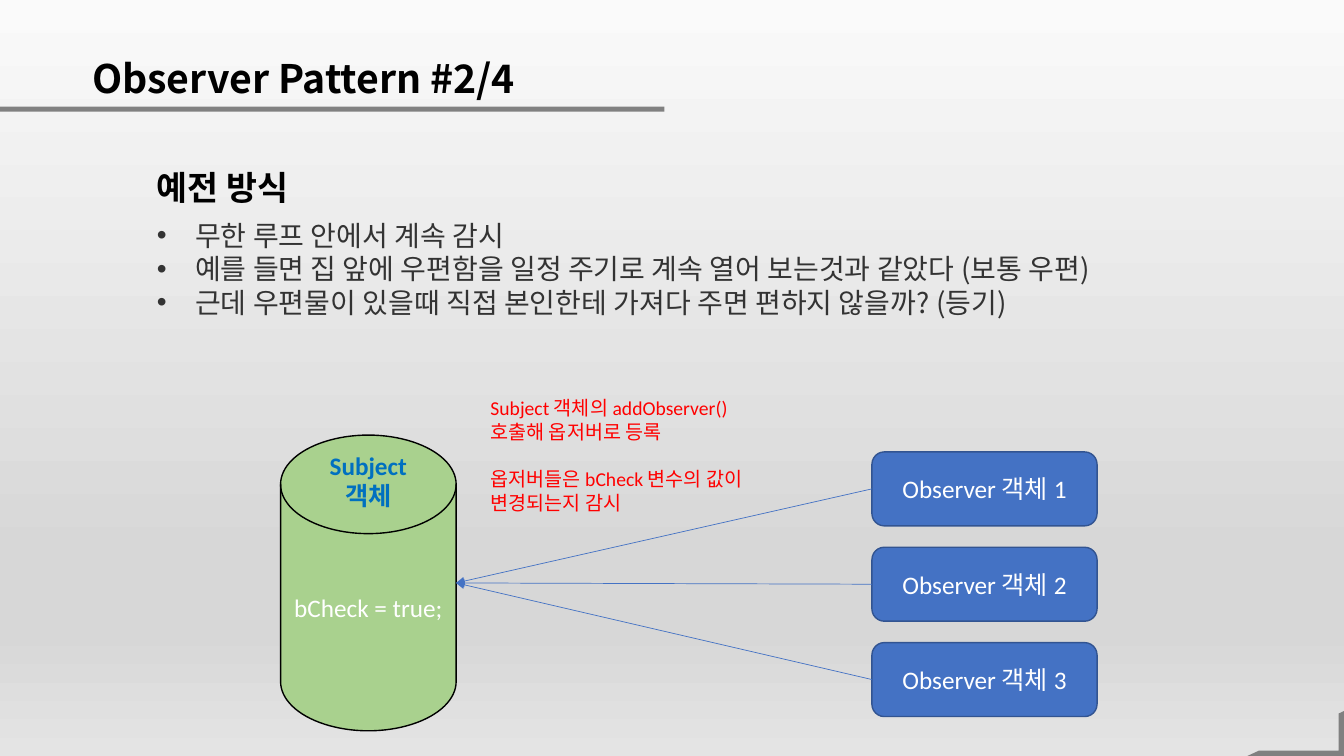
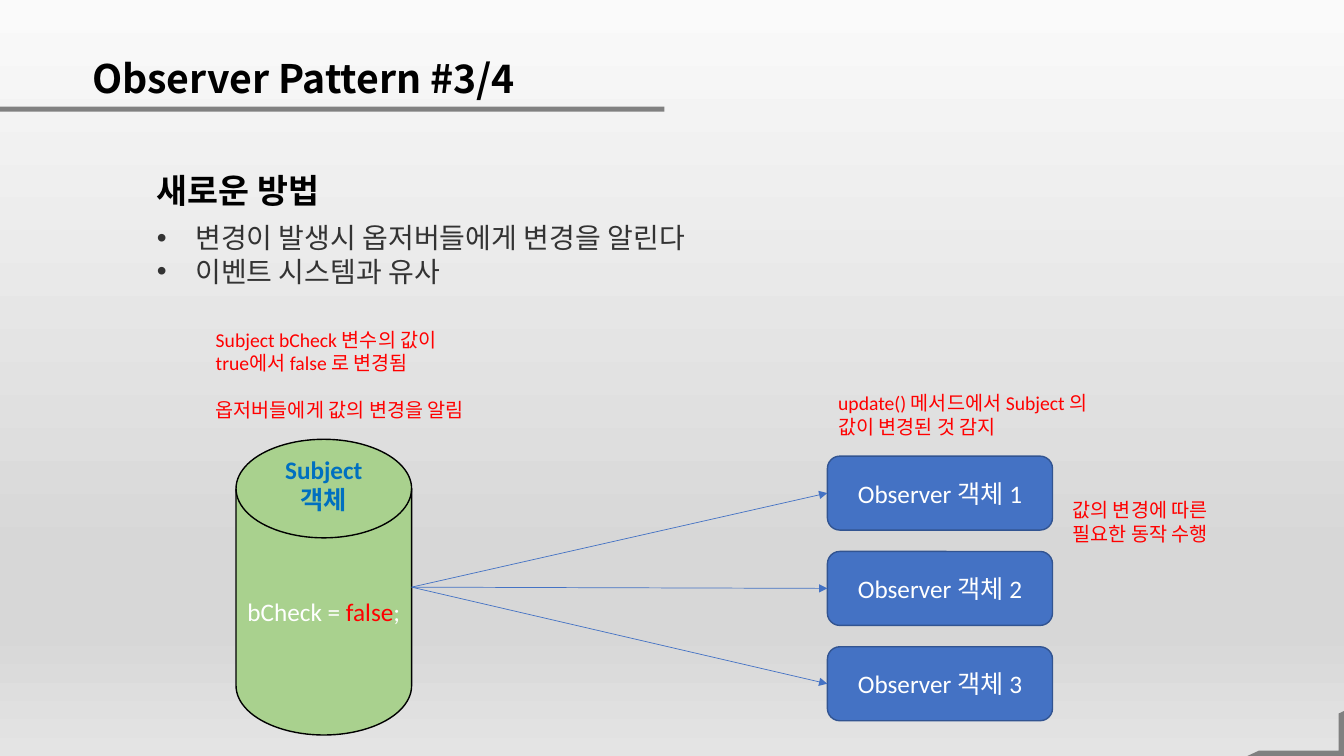
from pptx import Presentation
from pptx.dml.color import RGBColor
from pptx.enum.shapes import MSO_CONNECTOR as Connector, MSO_SHAPE as Shape
from pptx.enum.text import MSO_ANCHOR as Anchor, MSO_AUTO_SIZE as AutoSize, PP_ALIGN as Align
from pptx.oxml.ns import qn
from pptx.util import Inches, Pt
from lxml.etree import SubElement

# Palette and fonts
BLACK = RGBColor(0x00, 0x00, 0x00)
WHITE = RGBColor(0xFF, 0xFF, 0xFF)
GRAY = RGBColor(0x80, 0x80, 0x80)
CHARCOAL = RGBColor(0x33, 0x33, 0x33)
GREEN = RGBColor(0xA9, 0xD1, 0x8E)
BLUE = RGBColor(0x44, 0x72, 0xC4)
NAVY = RGBColor(0x32, 0x54, 0x91)
SKY = RGBColor(0x00, 0x70, 0xC0)
RED = RGBColor(0xFF, 0x00, 0x00)
BACKDROP = [(0, "FAFAFA"), (74, "D7D7D7"), (83, "D7D7D7"), (100, "E4E4E4")]
LATIN, KOREAN = "Calibri", "Noto Sans CJK KR"

# Grid of the slide
COLUMNS, ROWS = 160, 90
WIDTH, HEIGHT = Inches(13.33), Inches(7.5)


def grid(left, top, width, height):
    """Turn columns and rows into slide lengths."""
    return (int(left * WIDTH / COLUMNS), int(top * HEIGHT / ROWS),
            int(width * WIDTH / COLUMNS), int(height * HEIGHT / ROWS))


class Painter:
    """Holds the shared style and the current page."""

    def __init__(self):
        self.deck = Presentation()
        self.deck.slide_width, self.deck.slide_height = WIDTH, HEIGHT
        self.page = None
        self.paint_backdrop()

    def paint_backdrop(self):
        master = self.deck.slide_master
        fill = master.background.fill
        fill.gradient()
        fill.gradient_angle = 270
        stops = next(master.element.iter(qn("a:gsLst")))
        stops.clear()
        for share, color in BACKDROP:
            stop = SubElement(stops, qn("a:gs"), pos=str(share * 1000))
            SubElement(stop, qn("a:srgbClr"), val=color)

    def new_page(self, title):
        self.page = self.deck.slides.add_slide(self.deck.slide_layouts[5])
        # Corner ornament
        corner = self.shape(Shape.HALF_FRAME, (151.6, 81.5, 5.4, 11.6), GRAY)
        corner.adjustments[0], corner.adjustments[1] = 0.14, 0.12
        corner.rotation = 270
        corner.element.spPr.xfrm.set("flipV", "1")
        # Title and its rule
        box = self.page.shapes.title
        box.left, box.top, box.width, box.height = grid(9.8, 5.9, 70.3, 6.8)
        self.set_text(box, [title], 28, BLACK, font=KOREAN, bold=True)
        self.shape(Shape.RECTANGLE, (0, 12.7, 79.1, 0.6), GRAY)

    def set_text(self, box, lines, size, color, font=LATIN, bold=False,
                 align=Align.LEFT, anchor=Anchor.TOP, bullet=False):
        """Each line is a string or a list of (text, color) spans."""
        frame = box.text_frame
        frame.word_wrap = True
        frame.vertical_anchor = anchor
        for index, line in enumerate(lines):
            para = frame.paragraphs[0] if index == 0 else frame.add_paragraph()
            para.alignment = align
            para.line_spacing = Pt(1.2 * size)
            spans = [(line, color)] if isinstance(line, str) else line
            for text, span_color in spans:
                span = para.add_run()
                span.text = text
                span.font.size, span.font.bold = Pt(size), bold
                span.font.name = font
                span.font.color.rgb = span_color
                SubElement(span._r.get_or_add_rPr(), qn("a:ea"), typeface=KOREAN)
            if bullet:
                self.add_bullet(para)
        return frame

    def add_bullet(self, para):
        properties = para._p.get_or_add_pPr()
        indent = Inches(0.38)
        properties.set("marL", str(indent))
        properties.set("indent", str(-indent))
        SubElement(properties, qn("a:buFont"), typeface="Arial")
        SubElement(properties, qn("a:buChar"), char="•")

    def text(self, place, lines, size, color, **style):
        box = self.page.shapes.add_textbox(*grid(*place))
        frame = self.set_text(box, lines, size, color, **style)
        frame.auto_size = AutoSize.SHAPE_TO_FIT_TEXT
        return frame

    def shape(self, kind, place, fill, line=None):
        shape = self.page.shapes.add_shape(kind, *grid(*place))
        shape.shadow.inherit = False
        shape.fill.solid()
        shape.fill.fore_color.rgb = fill
        if line is None:
            shape.line.fill.background()
        else:
            shape.line.color.rgb = line
            shape.line.width = Pt(1)
        return shape

    def arrow(self, start, end):
        arrow = self.page.shapes.add_connector(Connector.STRAIGHT, *grid(*start, *end))
        arrow.line.color.rgb = BLUE
        arrow.line.width = Pt(0.5)
        outline = arrow.element.spPr.find(qn("a:ln"))
        SubElement(outline, qn("a:tailEnd"), type="triangle")
        SubElement(arrow.element.spPr, qn("a:effectLst"))

    def topic(self, top, heading, points, width):
        self.text((17.5, top, 86.3, 6), [heading], 24, BLACK, font=KOREAN, bold=True)
        self.text((17.5, top + 6.1, width, 4.4 * len(points)), points, 20, CHARCOAL,
                  font=KOREAN, bullet=True)

    def remark(self, place, lines, gap_before=None):
        frame = self.text(place, lines, 14, RED)
        if gap_before is not None:
            frame.paragraphs[gap_before].space_before = Pt(17)

    def diagram(self, left, top, state, notify):
        """Subject on the left, observers on the right, arrows between."""
        disk_width, disk_height = 20.9, 35.2
        card_left, card_width, card_height, pitch = left + 70.4, 26.8, 8.8, 11.35
        disk = self.shape(Shape.FLOWCHART_MAGNETIC_DISK,
                          (left, top, disk_width, disk_height), GREEN, BLACK)
        self.set_text(disk, [state], 18, WHITE, align=Align.CENTER, anchor=Anchor.MIDDLE)
        self.text((left + 3.5, top + 1.2, 13.9, 8.5), ["Subject", "객체"], 18, SKY,
                  bold=True, align=Align.CENTER)
        hub = (left + disk_width, top + disk_height / 2)
        for index in range(3):
            card_top = top + 2 + index * pitch
            card = self.shape(Shape.ROUNDED_RECTANGLE,
                              (card_left, card_top, card_width, card_height), BLUE, NAVY)
            self.set_text(card, [f"Observer 객체 {index + 1}"], 18, WHITE,
                          align=Align.CENTER, anchor=Anchor.MIDDLE)
            port = (card_left, card_top + card_height / 2)
            self.arrow(*((hub, port) if notify else (port, hub)))


painter = Painter()

# Polling: observers watch the subject
painter.new_page("Observer Pattern #2/4")
painter.topic(19.3, "예전 방식", [
    "무한 루프 안에서 계속 감시",
    "예를 들면 집 앞에 우편함을 일정 주기로 계속 열어 보는것과 같았다 (보통 우편)",
    "근데 우편물이 있을때 직접 본인한테 가져다 주면 편하지 않을까? (등기)",
], 129.2)
painter.diagram(33.4, 51.8, "bCheck = true;", notify=False)
painter.remark((57.2, 46.6, 35.6, 15.4), [
    "Subject 객체의 addObserver()",
    "호출해 옵저버로 등록",
    "옵저버들은 bCheck 변수의 값이",
    "변경되는지 감시",
], gap_before=2)

# Notification: the subject tells its observers
painter.new_page("Observer Pattern #3/4")
painter.topic(19.6, "새로운 방법", [
    "변경이 발생시 옵저버들에게 변경을 알린다",
    "이벤트 시스템과 유사",
], 139.9)
painter.diagram(28.1, 52.3, [("bCheck = ", WHITE), ("false", RED), (";", WHITE)], notify=True)
painter.remark((24.5, 38.4, 35.6, 12.5), [
    "Subject bCheck 변수의 값이",
    "true에서 false 로 변경됨",
    "옵저버들에게 값의 변경을 알림",
], gap_before=2)
painter.remark((98.6, 46, 35.6, 6.8),
               ["update() 메서드에서 Subject 의 값이 변경된 것 감지"])
painter.remark((126.5, 58.7, 21.7, 6.8), ["값의 변경에 따른", "필요한 동작 수행"])

painter.deck.save("out.pptx")
